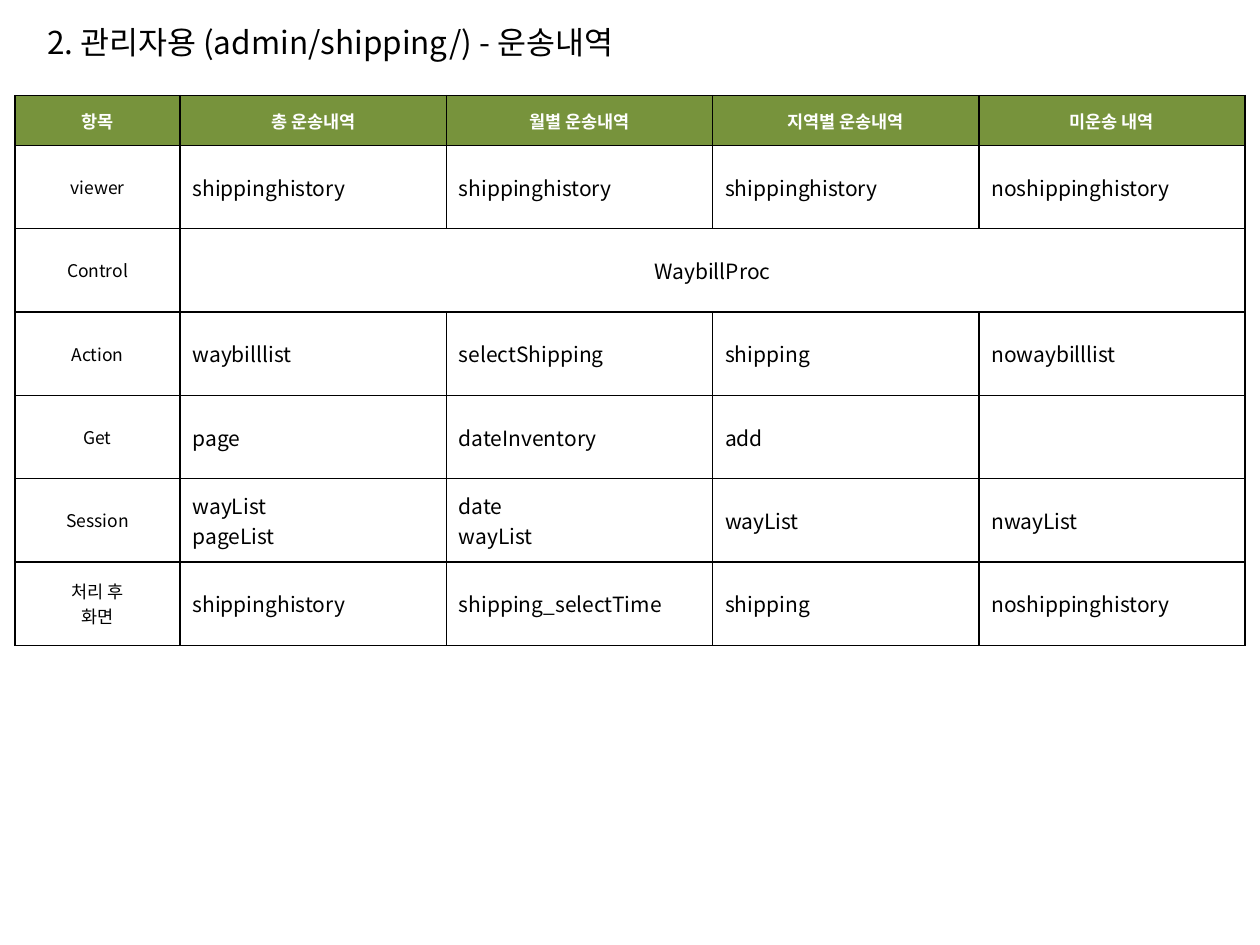
from dataclasses import dataclass

from lxml.etree import SubElement
from pptx import Presentation
from pptx.dml.color import RGBColor
from pptx.enum.text import MSO_ANCHOR, PP_ALIGN
from pptx.oxml.ns import qn
from pptx.util import Cm, Pt


@dataclass(frozen=True)
class Theme:
    """Colours, font and type sizes of the slide."""
    font: str = "Noto Sans CJK KR"
    ink: str = "000000"
    paper: str = "FFFFFF"
    header: str = "77933C"
    title: int = 18
    label: int = 10
    body: int = 12
    rule: int = 1


THEME = Theme()
TITLE = "2. 관리자용 (admin/shipping/) - 운송내역"
HEADER = ["항목", "총 운송내역", "월별 운송내역", "지역별 운송내역", "미운송 내역"]
ROWS = [
    ["viewer", "shippinghistory", "shippinghistory", "shippinghistory", "noshippinghistory"],
    ["Control", "WaybillProc"],
    ["Action", "waybilllist", "selectShipping", "shipping", "nowaybilllist"],
    ["Get", "page", "dateInventory", "add", ""],
    ["Session", "wayList\npageList", "date\nwayList", "wayList", "nwayList"],
    ["처리 후\n화면", "shippinghistory", "shipping_selectTime", "shipping", "noshippinghistory"],
]


def write(tf, text, size, color, bold=False, align=PP_ALIGN.LEFT):
    """Write each line of text as a paragraph with one run."""
    for i, line in enumerate(text.split("\n")):
        p = tf.paragraphs[0] if i == 0 else tf.add_paragraph()
        p.alignment = align
        r = p.add_run()
        r.text = line
        r.font.size = Pt(size)
        r.font.bold = bold
        r.font.color.rgb = RGBColor.from_string(color)
        r.font.name = THEME.font
        SubElement(r.font._element, qn("a:ea"), typeface=THEME.font)


def add_borders(cell):
    """Draw a thin solid line on the four sides of a cell."""
    tcPr = cell._tc.get_or_add_tcPr()
    for side in ("a:lnL", "a:lnR", "a:lnT", "a:lnB"):
        ln = SubElement(tcPr, qn(side), w=str(Pt(THEME.rule)))
        fill = SubElement(ln, qn("a:solidFill"))
        SubElement(fill, qn("a:srgbClr"), val=THEME.ink)


def add_title(slide, left, top, width, height):
    """Place the slide heading in the given box."""
    tf = slide.shapes.add_textbox(left, top, width, height).text_frame
    tf.word_wrap = True
    write(tf, TITLE, THEME.title, THEME.ink)


def add_history_table(slide, left, top, width, height):
    """Place the shipping table: header row, label column, equal body cells."""
    n_rows, n_cols = len(ROWS) + 1, len(HEADER)
    table = slide.shapes.add_table(n_rows, n_cols, left, top, width, height).table
    label_w, header_h = Cm(3.33), Cm(1)
    for i, col in enumerate(table.columns):
        col.width = label_w if i == 0 else (width - label_w) // (n_cols - 1)
    for i, row in enumerate(table.rows):
        row.height = header_h if i == 0 else (height - header_h) // (n_rows - 1)

    for cell in table.iter_cells():
        add_borders(cell)
        cell.fill.background()
        cell.vertical_anchor = MSO_ANCHOR.MIDDLE

    for i, text in enumerate(HEADER):
        cell = table.cell(0, i)
        cell.fill.solid()
        cell.fill.fore_color.rgb = RGBColor.from_string(THEME.header)
        write(cell.text_frame, text, THEME.label, THEME.paper, True, PP_ALIGN.CENTER)

    for i, row in enumerate(ROWS, 1):
        spans = len(row) < n_cols
        if spans:
            table.cell(i, 1).merge(table.cell(i, n_cols - 1))
        for j, text in enumerate(row):
            if text:
                size = THEME.label if j == 0 else THEME.body
                align = PP_ALIGN.CENTER if j == 0 or spans else PP_ALIGN.LEFT
                write(table.cell(i, j).text_frame, text, size, THEME.ink, align=align)


def main():
    """Build and save the one-slide deck."""
    prs = Presentation()
    prs.slide_width, prs.slide_height = Cm(25.4), Cm(19.05)
    s = prs.slides.add_slide(prs.slide_layouts[6])
    add_title(s, Cm(0.7), Cm(0.33), Cm(23.2), Cm(1.02))
    add_history_table(s, Cm(0.3), Cm(1.93), Cm(24.8), Cm(11.08))
    prs.save("out.pptx")


main()
